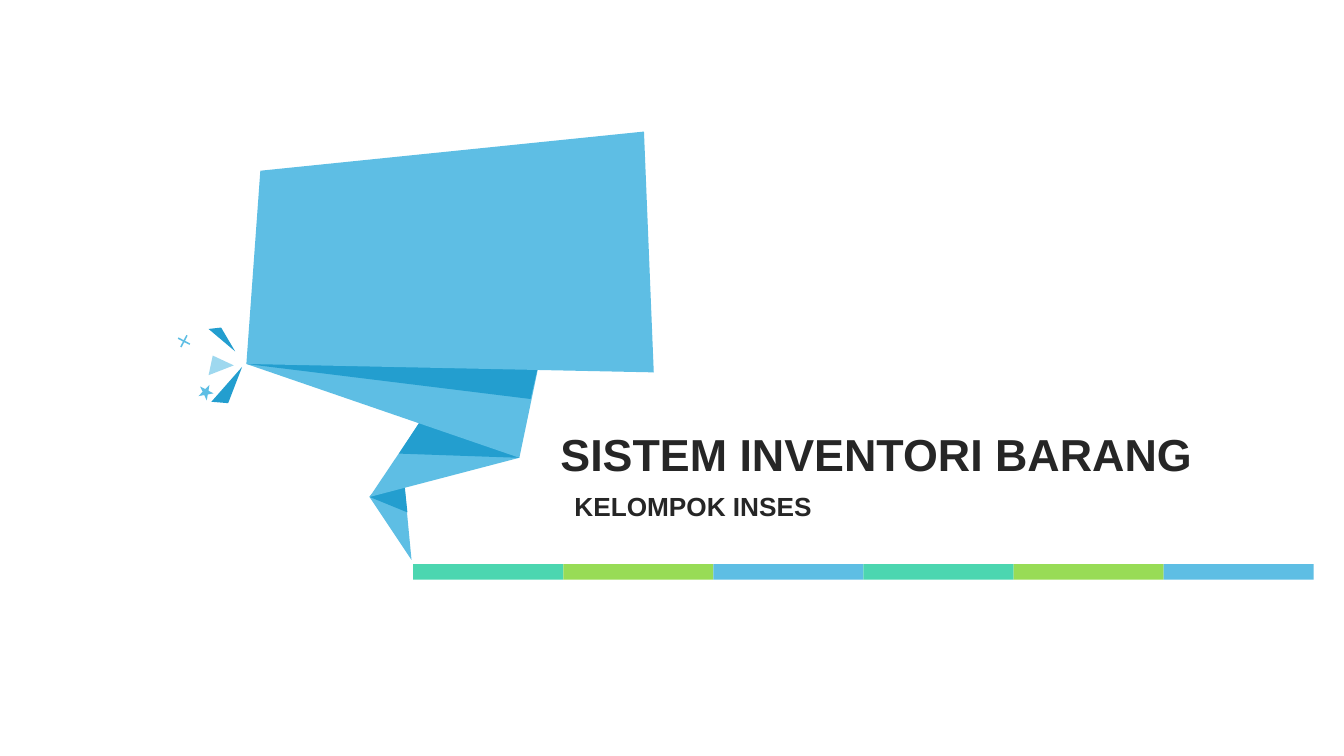
from dataclasses import dataclass

from pptx import Presentation
from pptx.dml.color import RGBColor
from pptx.enum.shapes import MSO_SHAPE
from pptx.enum.text import MSO_ANCHOR, MSO_AUTO_SIZE, PP_ALIGN
from pptx.util import Pt

RECT, PLUS, STAR = MSO_SHAPE.RECTANGLE, MSO_SHAPE.CROSS, MSO_SHAPE.STAR_5_POINT
LEFT, MIDDLE, FIXED = PP_ALIGN.LEFT, MSO_ANCHOR.MIDDLE, MSO_AUTO_SIZE.NONE


@dataclass(frozen=True)
class Theme:
    font: str = "Arial"
    ink: str = "262626"
    blue: str = "5EBEE4"
    deep: str = "239ECF"
    pale: str = "9ED8EF"
    teal: str = "4CD6B0"
    lime: str = "98DC56"
    title: float = 32
    sub: float = 18.7


theme = Theme()

# Content: text with its box (left, top, width, height)
TITLE = ("SISTEM INVENTORI BARANG", (393.1, 301, 529.9, 46.1))
SUB = ("KELOMPOK INSES", (403.2, 346.3, 455, 30.2))

# Folded ribbon, back to front; corners shared by several folds
TAIL, KNEE, HIP, NECK = (264, 355.3), (286.6, 326.9), (370.8, 326.9), (176.4, 259.9)
FOLDS = [
    (theme.blue, [TAIL, (294.5, 400.3), KNEE]),
    (theme.deep, [TAIL, (290.9, 366.5), KNEE]),
    (theme.blue, [HIP, TAIL, (311, 285.1)]),
    (theme.deep, [HIP, (285.1, 324), (308.2, 288.7)]),
    (theme.blue, [NECK, HIP, (389.5, 236.2)]),
    (theme.deep, [NECK, (379.4, 285.1), (387.4, 249.8)]),
    (theme.blue, [(186.5, 122.4), (460.1, 93.6), (467.3, 265.7), NECK]),
]
SPARKS = [
    (theme.pale, [(149, 267.8), (167, 260.6), (151.9, 254.2)]),
    (theme.deep, [(172.8, 262.1), (151.2, 286.6), (162.7, 288)]),
    (theme.deep, [(167.8, 250.6), (149, 235.4), (158.4, 234)]),
]
# Kind, left, top, size, turn
MARKS = [(PLUS, 126.7, 239, 9.4, 27.4), (STAR, 141.8, 274.3, 10.8, 27.1)]

# Colour strip
STRIP = [theme.teal, theme.lime, theme.blue] * 2
STRIP_BOX = (295.2, 403, 643.2, 11)


def paint(shape, color):
    shape.shadow.inherit = False
    shape.fill.solid()
    shape.fill.fore_color.rgb = RGBColor.from_string(color)
    shape.line.fill.background()


def facet(parts, color, points):
    pen = parts.build_freeform(*points[0], scale=Pt(1))
    pen.add_line_segments(points[1:], close=True)
    paint(pen.convert_to_shape(), color)


def block(parts, kind, box, color):
    shape = parts.add_shape(kind, *map(Pt, box))
    paint(shape, color)
    return shape


def write(shape, text, box, size):
    shape.left, shape.top, shape.width, shape.height = map(Pt, box)
    frame = shape.text_frame
    frame.text = text
    frame.word_wrap = True
    frame.auto_size = FIXED
    frame.vertical_anchor = MIDDLE
    line = frame.paragraphs[0]
    line.alignment = LEFT
    font = line.runs[0].font
    font.name, font.size, font.bold = theme.font, Pt(size), True
    font.color.rgb = RGBColor.from_string(theme.ink)


def main():
    deck = Presentation()
    deck.slide_width, deck.slide_height = Pt(960), Pt(540)
    slide = deck.slides.add_slide(deck.slide_layouts[5])
    shapes = slide.shapes

    # Headings
    write(shapes.title, *TITLE, theme.title)
    write(shapes.add_textbox(0, 0, 0, 0), *SUB, theme.sub)

    # Ribbon and sparks
    ribbon = shapes.add_group_shape().shapes
    for color, points in FOLDS + SPARKS:
        facet(ribbon, color, points)
    for kind, x, y, size, turn in MARKS:
        mark = block(ribbon, kind, (x, y, size, size), theme.blue)
        mark.rotation = turn
        if kind == PLUS:
            mark.adjustments[0] = 0.44

    # Colour strip in equal steps
    strip = shapes.add_group_shape().shapes
    x, y, width, height = STRIP_BOX
    step = width / len(STRIP)
    for i, color in enumerate(STRIP):
        block(strip, RECT, (x + i * step, y, step, height), color)

    deck.save("out.pptx")


if __name__ == "__main__":
    main()
